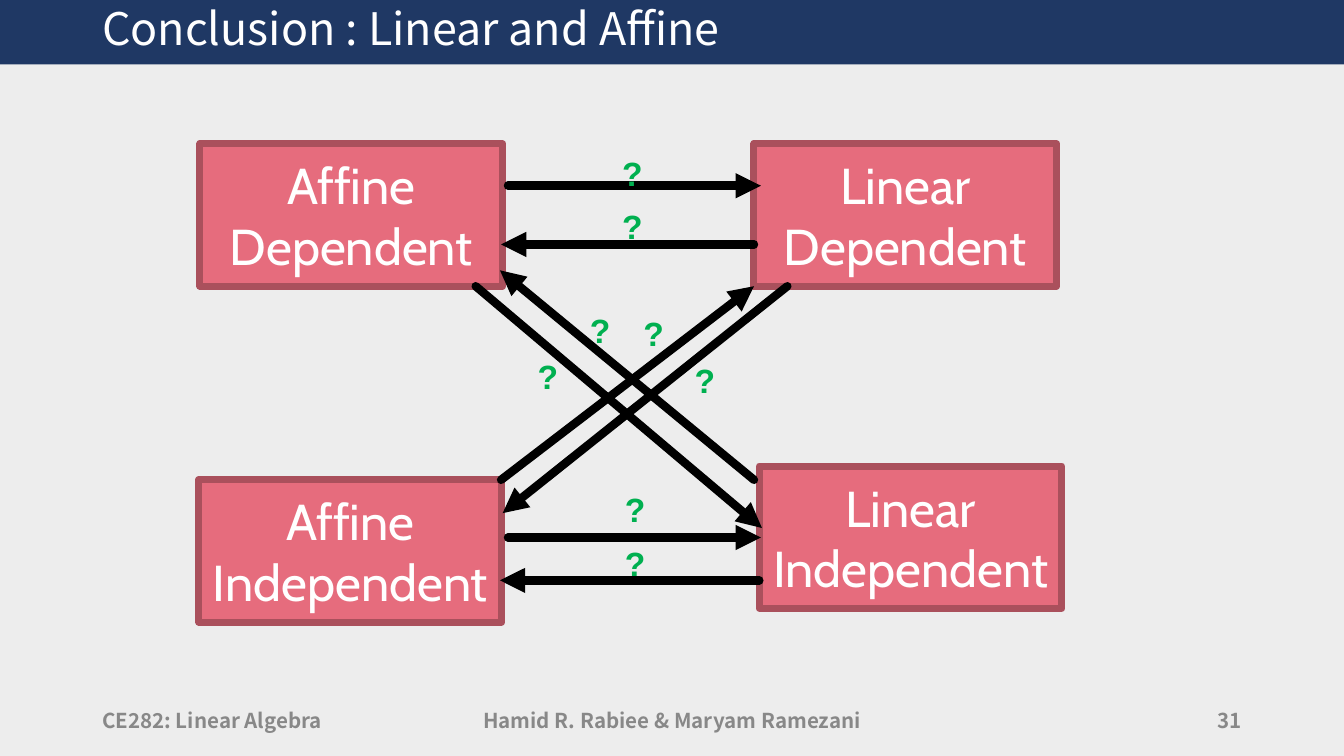
import dataclasses

import pptx
import pptx.dml.color
import pptx.enum.shapes
import pptx.enum.text
import pptx.oxml
import pptx.oxml.ns
import pptx.util

Cm = pptx.util.Cm
Pt = pptx.util.Pt
Color = pptx.dml.color.RGBColor.from_string
Align = pptx.enum.text.PP_ALIGN
Anchor = pptx.enum.text.MSO_ANCHOR
Rectangle = pptx.enum.shapes.MSO_SHAPE.RECTANGLE


@dataclasses.dataclass(frozen=True)
class Theme:
    background: str = "EDEDED"
    banner: str = "1F3864"
    white: str = "FFFFFF"
    footer: str = "888888"
    concept: str = "E66C7D"
    concept_edge: str = "AA505C"
    arrow: str = "000000"
    question: str = "00B050"
    heading_font: str = "Noto Sans CJK JP"
    concept_font: str = "Cabin"
    question_font: str = "Arial"
    title_size: float = 24
    concept_size: float = 27
    question_size: float = 18
    footer_size: float = 11
    edge_width: float = 3.78
    arrow_width: float = 4.5


theme = Theme()


def write_text(box, text, *, font, size, color, bold=False, align=Align.LEFT,
               anchor=Anchor.MIDDLE, inset=(0.18, 0.1), spacing=1.0):
    frame = box.text_frame
    frame.word_wrap = True
    frame.vertical_anchor = anchor
    frame.margin_left = frame.margin_right = Cm(inset[0])
    frame.margin_top = frame.margin_bottom = Cm(inset[1])
    para = frame.paragraphs[0]
    para.alignment = align
    para.line_spacing = spacing
    span = para.add_run()
    span.text = text
    span.font.name = font
    span.font.size = Pt(size)
    span.font.bold = bold
    span.font.color.rgb = Color(color)


deck = pptx.Presentation()
deck.slide_width = Cm(25.4)
deck.slide_height = Cm(14.29)
page = deck.slides.add_slide(deck.slide_layouts[6])
page.background.fill.solid()
page.background.fill.fore_color.rgb = Color(theme.background)

banner = page.shapes.add_shape(Rectangle, 0, 0, deck.slide_width, Cm(1.22))
banner.shadow.inherit = False
banner.fill.solid()
banner.fill.fore_color.rgb = Color(theme.banner)
banner.line.fill.background()

title = page.shapes.add_textbox(Cm(1.75), Cm(0.1), Cm(20.73), Cm(0.99))
write_text(title, "Conclusion : Linear and Affine", font=theme.heading_font,
           size=theme.title_size, color=theme.white, spacing=0.9)

footers = [
    ("CE282: Linear Algebra", 1.75, 5.72, Align.LEFT),
    ("Hamid R. Rabiee & Maryam Ramezani", 8.41, 8.59, Align.CENTER),
    ("31", 17.93, 5.72, Align.RIGHT),
]
for text, left, width, align in footers:
    footer = page.shapes.add_textbox(Cm(left), Cm(13.23), Cm(width), Cm(0.76))
    write_text(footer, text, font=theme.heading_font, size=theme.footer_size,
               color=theme.footer, bold=True, align=align)

concepts = [
    ("Affine Dependent", 3.78, 2.72),
    ("Affine Independent", 3.76, 9.07),
    ("Linear Dependent", 14.25, 2.72),
    ("Linear Independent", 14.35, 8.81),
]
for text, left, top in concepts:
    concept = page.shapes.add_shape(Rectangle, Cm(left), Cm(top), Cm(5.72), Cm(2.69))
    concept.shadow.inherit = False
    concept.fill.solid()
    concept.fill.fore_color.rgb = Color(theme.concept)
    concept.line.color.rgb = Color(theme.concept_edge)
    concept.line.width = Pt(theme.edge_width)
    write_text(concept, text, font=theme.concept_font, size=theme.concept_size,
               color=theme.white, align=Align.CENTER)

arrows = [
    (9.6, 3.51, 14.38, 3.51),
    (14.25, 4.62, 9.47, 4.62),
    (9.47, 9.07, 14.25, 5.41),
    (14.88, 5.41, 9.5, 9.7),
    (14.25, 9.07, 9.45, 5.11),
    (8.99, 5.41, 14.4, 9.98),
    (9.6, 10.16, 14.38, 10.16),
    (14.35, 10.97, 9.45, 10.97),
]
for ends in arrows:
    arrow = page.shapes.add_connector(
        pptx.enum.shapes.MSO_CONNECTOR.STRAIGHT, *[Cm(end) for end in ends])
    arrow.line.color.rgb = Color(theme.arrow)
    arrow.line.width = Pt(theme.arrow_width)
    properties = arrow._element.spPr
    stroke = properties.find(pptx.oxml.ns.qn("a:ln"))
    stroke.set("cap", "rnd")
    head = pptx.oxml.parse_xml(f'<a:tailEnd {pptx.oxml.ns.nsdecls("a")} type="triangle"/>')
    stroke.append(head)
    properties.append(pptx.oxml.parse_xml(f'<a:effectLst {pptx.oxml.ns.nsdecls("a")}/>'))

questions = [
    (11.51, 3.76), (11.51, 2.77), (11.91, 5.79), (12.88, 6.68),
    (9.91, 6.6), (10.9, 5.72), (11.56, 9.12), (11.56, 10.13),
]
for left, top in questions:
    question = page.shapes.add_textbox(Cm(left), Cm(top), Cm(1.57), Cm(1.02))
    write_text(question, "?", font=theme.question_font, size=theme.question_size,
               color=theme.question, bold=True, anchor=Anchor.TOP, inset=(0.25, 0.13))

deck.save("out.pptx")
